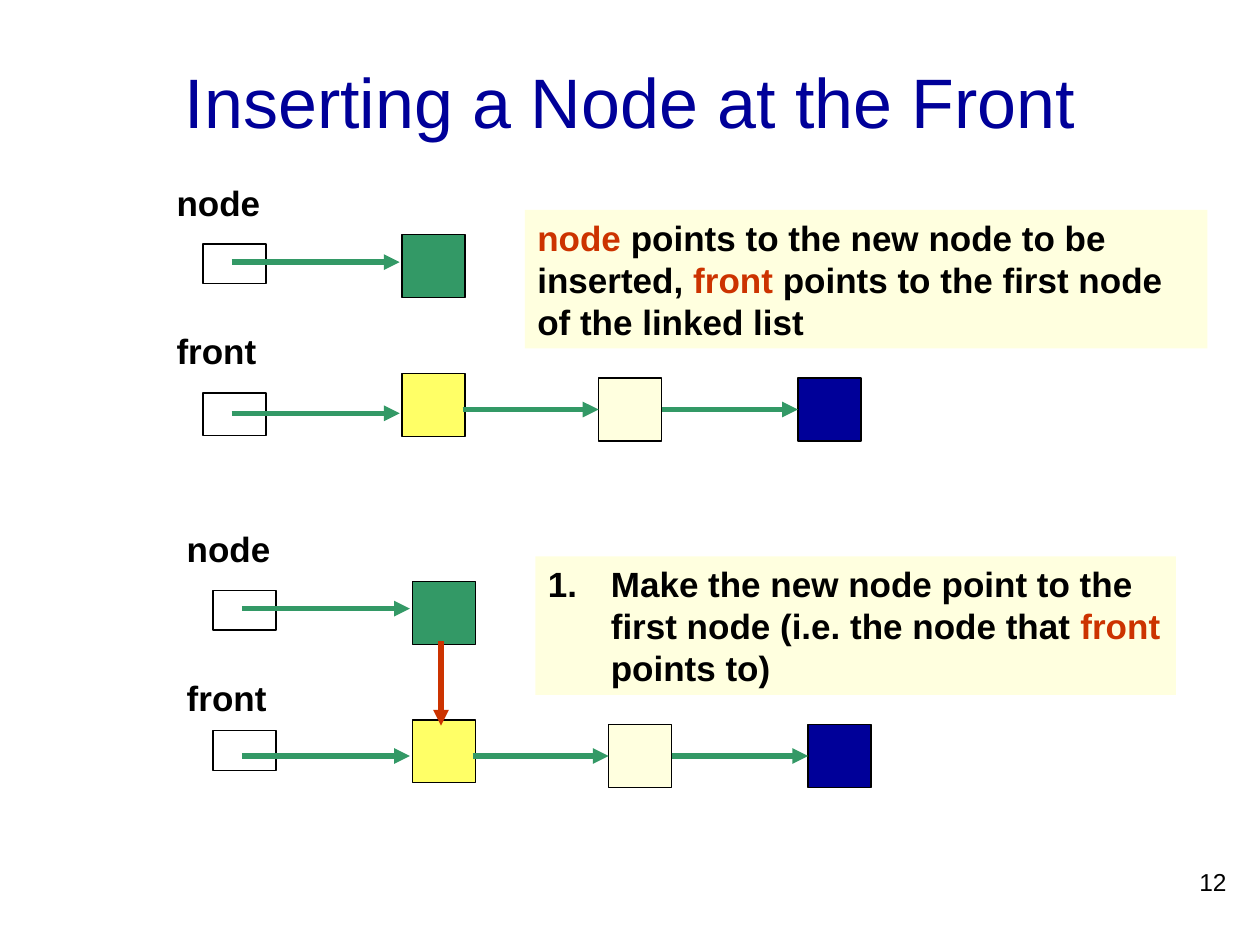
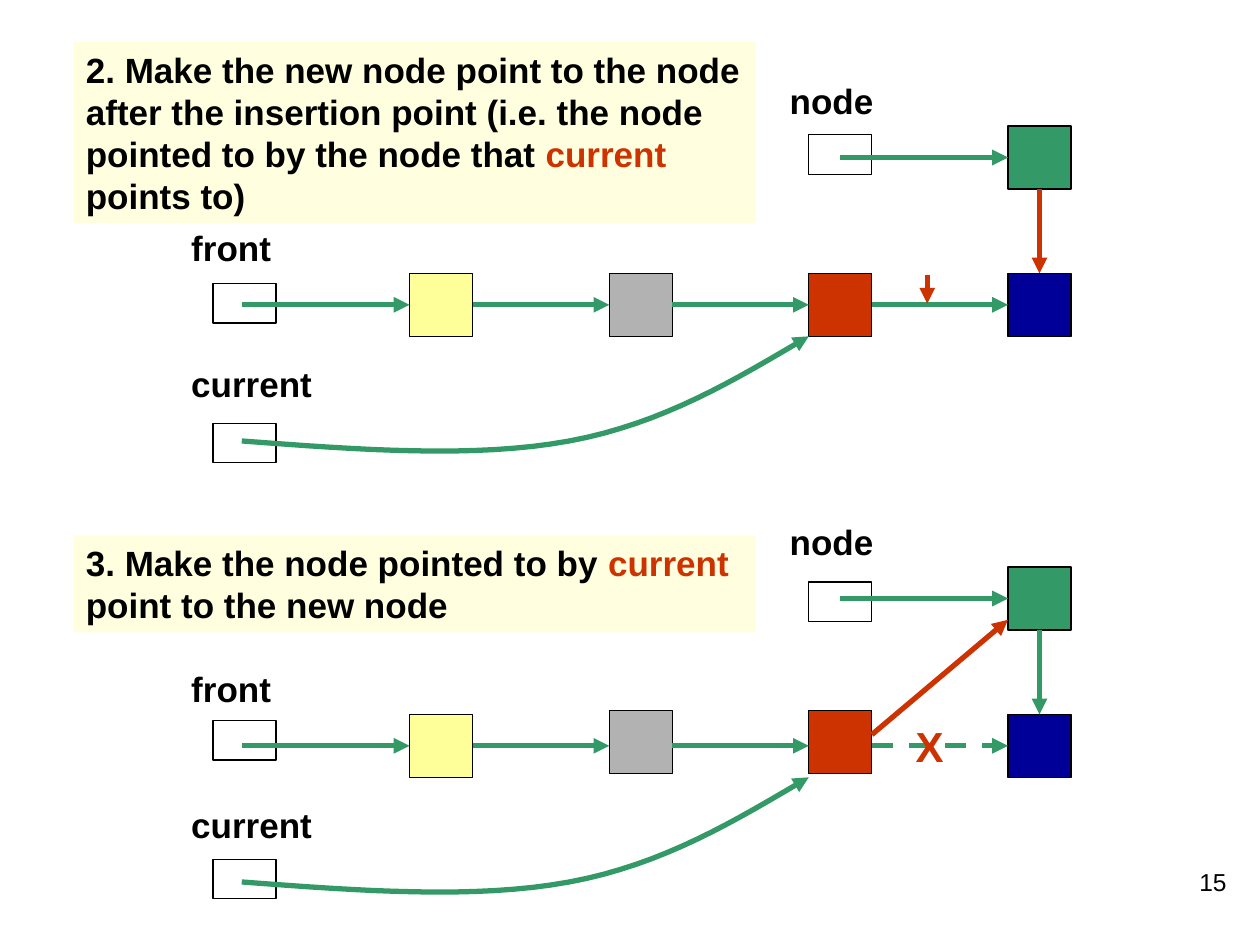
from lxml import etree
from pptx import Presentation
from pptx import util as u
from pptx.dml.color import RGBColor
from pptx.enum import dml, shapes, text
from pptx.oxml.ns import qn

FONT = "Arial"
BLACK, NAVY, GREEN, RED = "000000", "000099", "339966", "CC3300"
YELLOW, PALE_YELLOW, CREAM, GRAY = "FFFF66", "FFFF99", "FFFFDF", "B2B2B2"
NODE_SIZE = 36
CELL_HEIGHT = 22.6
TITLE_ONLY, BLANK = 5, 6


def rgb(color):
    return RGBColor.from_string(color)


def points(values):
    return [u.Pt(value) for value in values]


def style(target, color, **values):
    """Set a font's or line's colour and its other format values."""
    target_color = target.color
    target_color.rgb = rgb(color)
    for name, value in values.items():
        setattr(target, name, value)


def write(frame, marked, size=20, bold=True, color=BLACK,
          align=text.PP_ALIGN.LEFT, numbered=False):
    """Fill a text frame; words between asterisks are red."""
    frame.word_wrap = True
    para = frame.paragraphs[0]
    if numbered:
        properties = para._p.get_or_add_pPr()
        properties.set("marL", str(u.Pt(36)))
        properties.set("indent", str(u.Pt(-36)))
        etree.SubElement(properties, qn("a:buAutoNum"), type="arabicPeriod")
    para.alignment = align
    for index, piece in enumerate(marked.split("*")):
        if piece:
            span = para.add_run()
            span.text = piece
            style(span.font, RED if index % 2 else color,
                  name=FONT, size=u.Pt(size), bold=bold)


def add_text(page, area, marked, fill=None, **look):
    box = page.shapes.add_textbox(*points(area))
    if fill:
        box.fill.solid()
        box.fill.fore_color.rgb = rgb(fill)
    write(box.text_frame, marked, **look)


def add_note(page, area, marked, numbered=False):
    add_text(page, area, marked, fill=CREAM, numbered=numbered)


def add_label(page, left, top, name):
    add_text(page, (left, top, 96, 31.7), name)


def add_box(page, left, top, fill=None, height=NODE_SIZE):
    box = page.shapes.add_shape(shapes.MSO_SHAPE.RECTANGLE,
                                *points((left, top, NODE_SIZE, height)))
    box.shadow.inherit = False
    if fill:
        box.fill.solid()
        box.fill.fore_color.rgb = rgb(fill)
    else:
        box.fill.background()
    style(box.line, BLACK, width=u.Pt(0.75))
    return box


def add_cell(page, left, top, height=CELL_HEIGHT):
    """Draw the empty box of a pointer variable."""
    add_box(page, left, top, height=height)


def finish_arrow(shape, color, dash=None):
    style(shape.line, color, width=u.Pt(3))
    if dash:
        shape.line.dash_style = dash
    properties = shape.element.spPr
    etree.SubElement(properties.find(qn("a:ln")), qn("a:tailEnd"), type="triangle")
    if properties.find(qn("a:effectLst")) is None:
        etree.SubElement(properties, qn("a:effectLst"))


def side_middles(box):
    """Middles of the top, left, bottom and right sides."""
    middle_x, middle_y = box.left + box.width // 2, box.top + box.height // 2
    return ((middle_x, box.top), (box.left, middle_y),
            (middle_x, box.top + box.height), (box.left + box.width, middle_y))


def add_arrow(page, start, end, color=GREEN, boxes=(), dash=None):
    """Draw a straight arrow, joined to any box whose side middle it meets."""
    start, end = points(start), points(end)
    line = page.shapes.add_connector(shapes.MSO_CONNECTOR.STRAIGHT, *start, *end)
    for box in boxes:
        for site, (x, y) in enumerate(side_middles(box)):
            for point, join in ((start, line.begin_connect), (end, line.end_connect)):
                if max(abs(point[0] - x), abs(point[1] - y)) < u.Pt(1):
                    join(box, site)
    finish_arrow(line, color, dash)


def bezier(start, first, second, end, steps=16):
    """Points after start on a cubic curve."""
    for step in range(1, steps + 1):
        t = step / steps
        weights = ((1 - t) ** 3, 3 * t * (1 - t) ** 2, 3 * t * t * (1 - t), t ** 3)
        yield tuple(sum(w * p[axis] for w, p in zip(weights, (start, first, second, end)))
                    for axis in (0, 1))


def add_current_arrow(page, top):
    start, middle, end = (138.2, top + 252), (325.4, top + 252), (462.2, top + 192.2)
    curve = [*bezier(start, (204.5, top + 257), (271.4, top + 262), middle),
             *bezier(middle, (379.4, top + 242), (420.5, top + 216.7), end)]
    builder = page.shapes.build_freeform(*points(start))
    builder.add_line_segments([points(point) for point in curve], close=False)
    arrow = builder.convert_to_shape()
    arrow.shadow.inherit = False
    arrow.fill.background()
    finish_arrow(arrow, GREEN)


def add_number(page, number):
    add_text(page, (558, 492, 150, 36), number, size=14, bold=False,
             align=text.PP_ALIGN.RIGHT)


def draw_front_list(page, left, top, front_cell, front_cell_height, front_arrow):
    """Draw the new node above a list of three nodes."""
    add_label(page, left - 22.2, top, "node")
    add_label(page, left - 22.2, top + 85, "front")
    add_cell(page, left, top + 39.5)
    add_cell(page, left, front_cell, front_cell_height)
    add_box(page, left + 113.8, top + 34.2, GREEN)
    add_box(page, left + 113.8, top + 113.4, YELLOW)
    boxes = [add_box(page, left + 226, top + 116, CREAM),
             add_box(page, left + 340, top + 116, NAVY)]
    for y in (top + 49.8, front_arrow):
        add_arrow(page, (left + 16.4, y), (left + 112.4, y))
    row = top + 134
    add_arrow(page, (left + 148.4, row), (left + 226, row), boxes=boxes)
    add_arrow(page, (left + 262, row), (left + 340, row), boxes=boxes)


def draw_current_list(page, top, cell_tops, middle_top, new_link, old_link):
    """Draw the new node above a list of four nodes, with the current pointer."""
    for name, left, label_top, cell_left, cell_top in zip(
            ("node", "front", "current"), (444.2, 102.2, 102.2), (41.8, 126, 203.8),
            (462.2, 121.7, 121.7), cell_tops):
        add_label(page, left, top + label_top, name)
        add_cell(page, cell_left, cell_top)
    row_top = top + 156.2
    new_node = add_box(page, 576, top + 72, GREEN)
    boxes = [add_box(page, 234, row_top, PALE_YELLOW),
             add_box(page, 348.2, middle_top, GRAY),
             add_box(page, 462.2, middle_top, RED),
             add_box(page, 576, row_top, NAVY), new_node]
    row = row_top + NODE_SIZE / 2
    for start, end in ((138.2, 234), (270, 348.2), (384.2, 462.2)):
        add_arrow(page, (start, row), (end, row), boxes=boxes)
    add_arrow(page, (498.2, row), (576, row), boxes=boxes, dash=old_link)
    add_arrow(page, (480, top + 90), (576, top + 90), boxes=boxes)
    add_arrow(page, (594, top + 108), (594, row_top), new_link, boxes)
    add_current_arrow(page, top)


def build_front_slide(deck):
    page = deck.slides.add_slide(deck.slide_layouts[TITLE_ONLY])
    title = page.shapes.title
    title.left, title.top, title.width, title.height = points((54, 12.2, 612, 90))
    title.text_frame.vertical_anchor = text.MSO_ANCHOR.MIDDLE
    write(title.text_frame, "Inserting a Node at the Front", size=40, bold=False,
          color=NAVY, align=text.PP_ALIGN.CENTER)
    draw_front_list(page, 116, 100, 224.6, 24.5, 236.2)
    draw_front_list(page, 121.8, 298, 417.6, CELL_HEIGHT, 432)
    add_note(page, (300, 120, 390, 79.2),
             "*node* points to the new node to be inserted, *front* points to "
             "the first node of the linked list")
    add_note(page, (306, 318, 366, 79.2),
             "Make the new node point to the first node (i.e. the node that "
             "*front* points to)", numbered=True)
    add_arrow(page, (252, 366.5), (252, 414.7), RED)
    add_number(page, "12")


def build_current_slide(deck):
    page = deck.slides.add_slide(deck.slide_layouts[BLANK])
    draw_current_list(page, 0, (77, 162, 241.9), 156.2, RED, None)
    add_arrow(page, (529.9, 157), (529.9, 173.5), RED)
    draw_current_list(page, 252, (332.6, 411.8, 491), 406.1, GREEN,
                      dml.MSO_LINE.DASH)
    add_arrow(page, (498.2, 419.8), (576, 354.2), RED)
    add_text(page, (516.2, 408.2, 36, 36), "X", size=24, color=RED)
    add_note(page, (42, 24, 390, 103.7),
             "2. Make the new node point to the node after the insertion point "
             "(i.e. the node pointed to by the node that *current* points to)")
    add_note(page, (42, 306, 390, 55.4),
             "3. Make the node pointed to by *current* point to the new node")
    add_number(page, "15")


def main():
    deck = Presentation()
    deck.slide_width, deck.slide_height = points((720, 540))
    build_front_slide(deck)
    build_current_slide(deck)
    deck.save("out.pptx")


if __name__ == "__main__":
    main()
